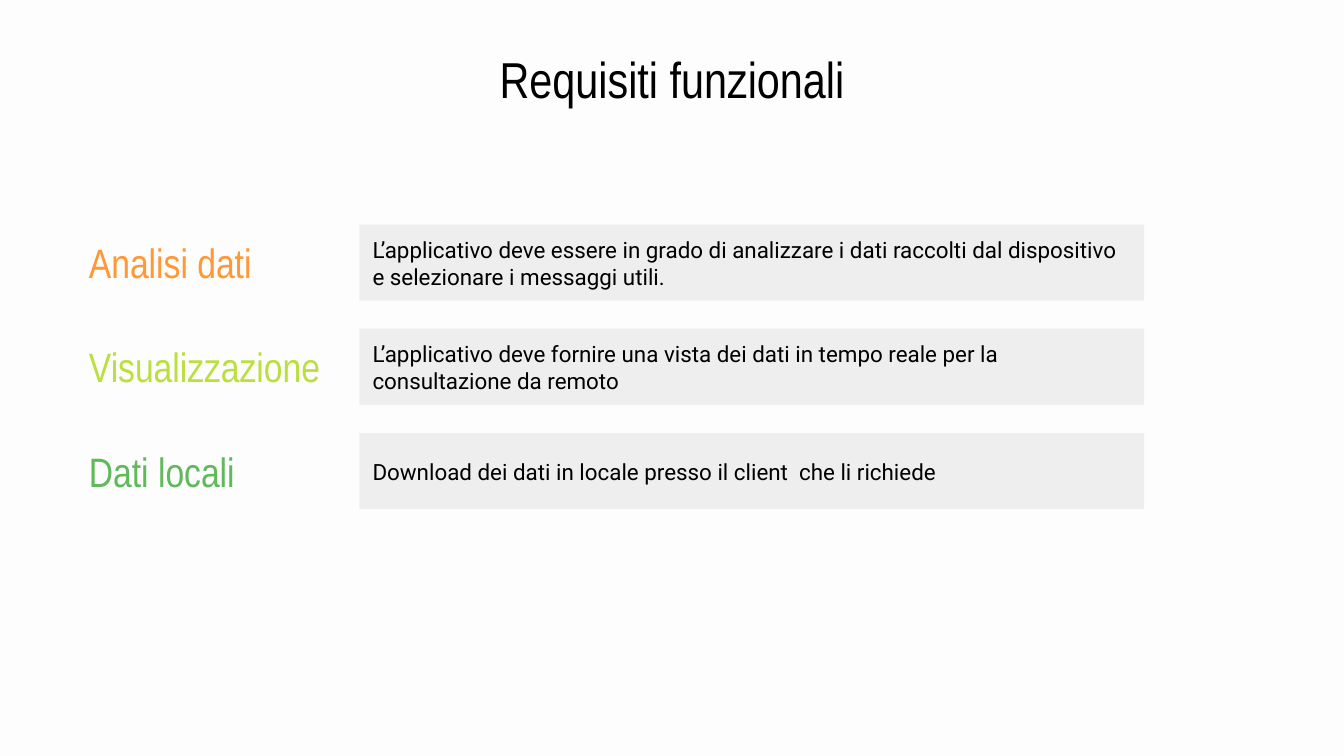
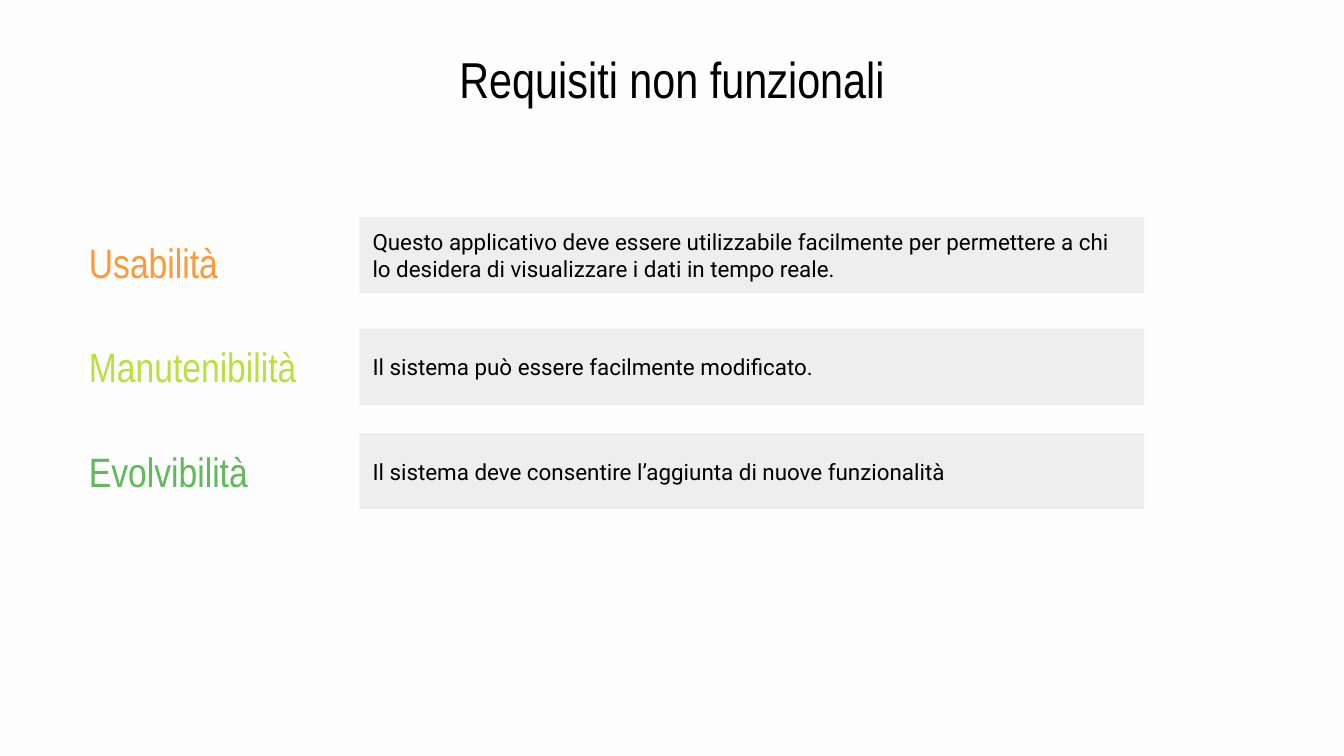
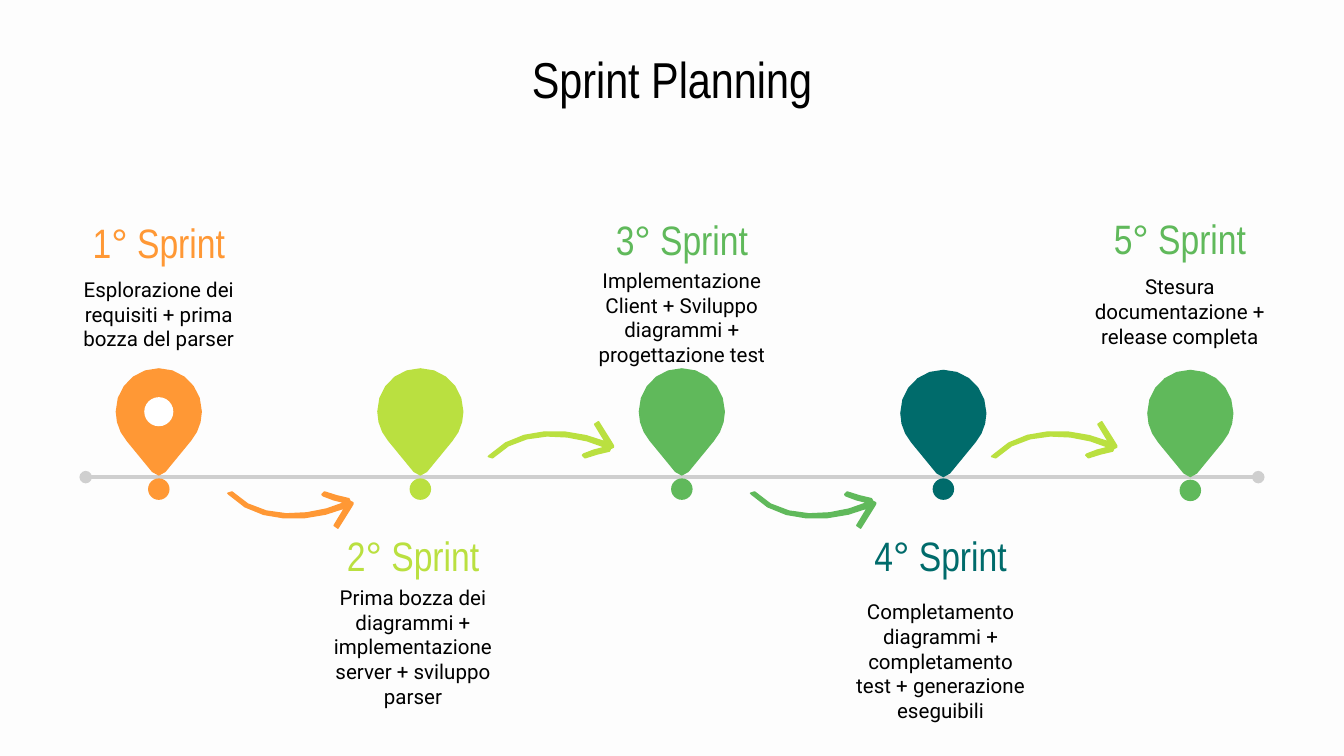
from math import cos, dist, radians, sin
from lxml.etree import SubElement
from pptx import Presentation
from pptx.dml.color import RGBColor
from pptx.enum.shapes import MSO_CONNECTOR, MSO_SHAPE
from pptx.enum.text import MSO_ANCHOR, MSO_AUTO_SIZE, PP_ALIGN
from pptx.oxml.ns import qn
from pptx.util import Pt

PAPER = RGBColor(0xFD, 0xFD, 0xFD)
WHITE = RGBColor(0xFF, 0xFF, 0xFF)
BLACK = RGBColor(0x00, 0x00, 0x00)
PANEL = RGBColor(0xEE, 0xEE, 0xEE)
RAIL = RGBColor(0xCF, 0xCF, 0xCF)
ORANGE = RGBColor(0xFF, 0x98, 0x35)
LIME = RGBColor(0xBA, 0xE0, 0x40)
GREEN = RGBColor(0x60, 0xB9, 0x5B)
TEAL = RGBColor(0x00, 0x6B, 0x6B)

HEADING_FONT = "Arial Narrow"
BODY_FONT = "Roboto"
INSET = 7.2


def write(box, text, font=BODY_FONT, size=12, color=BLACK, align=PP_ALIGN.LEFT, right=INSET):
    """Put one paragraph of formatted, vertically centred text in a shape."""
    frame = box.text_frame
    frame.word_wrap = True
    frame.auto_size = MSO_AUTO_SIZE.NONE
    frame.vertical_anchor = MSO_ANCHOR.MIDDLE
    frame.margin_left = frame.margin_top = frame.margin_bottom = Pt(INSET)
    frame.margin_right = Pt(right)
    para = frame.paragraphs[0]
    para.alignment = align
    span = para.add_run()
    span.text = text
    span.font.name = font
    span.font.size = Pt(size)
    span.font.color.rgb = color


def draw(page, outline, color, x, y, flip=1, turn=0, line=None):
    """Draw an outline of points and cubic triples around (x, y), in a frame turned by degrees."""
    points = [outline[0]]
    for step in outline[1:]:
        if len(step) == 2:
            points.append(step)
            continue
        curve = [points[-1], *step]
        count = max(1, min(6, round(dist(curve[0], curve[3]) / 6)))
        for n in range(1, count + 1):
            t = n / count
            weights = ((1 - t) ** 3, 3 * t * (1 - t) ** 2, 3 * t * t * (1 - t), t ** 3)
            points.append(tuple(sum(w * p[axis] for w, p in zip(weights, curve))
                                for axis in (0, 1)))
    c, s = cos(radians(turn)), sin(radians(turn))
    placed = [(Pt(x + px * c + flip * py * s), Pt(y - px * s + flip * py * c))
              for px, py in points]
    builder = page.shapes.build_freeform(*placed[0])
    builder.add_line_segments(placed[1:], close=True)
    shape = builder.convert_to_shape()
    shape.rotation = turn
    shape.shadow.inherit = False
    shape.fill.solid()
    shape.fill.fore_color.rgb = color
    if line:
        shape.line.color.rgb = color
        shape.line.width = Pt(line)
    else:
        shape.line.fill.background()


deck = Presentation()
deck.slide_width, deck.slide_height = Pt(720), Pt(405)
background = deck.slide_master.background.fill
background.solid()
background.fore_color.rgb = PAPER

# Every slide has the same centred title
pages = []
for heading in ("Requisiti funzionali", "Requisiti non funzionali", "Sprint Planning"):
    page = deck.slides.add_slide(deck.slide_layouts[5])
    title = page.shapes.title
    title.left, title.top, title.width, title.height = Pt(39.6), Pt(37.8), Pt(640.8), Pt(8.6)
    write(title, heading, font=HEADING_FONT, size=27, align=PP_ALIGN.CENTER)
    pages.append(page)

# Slides 1 and 2: rows of a coloured label and a grey panel
ROW_STEP = 55.9
requirements = [
    (120.3, [
        ("Analisi dati", "L’applicativo deve essere in grado di analizzare i dati raccolti "
                         "dal dispositivo e selezionare i messaggi utili."),
        ("Visualizzazione", "L’applicativo deve fornire una vista dei dati in tempo reale "
                            "per la consultazione da remoto"),
        ("Dati locali", "Download dei dati in locale presso il client  che li richiede"),
    ]),
    (116.2, [
        ("Usabilità", "Questo applicativo deve essere utilizzabile facilmente per permettere "
                      "a chi lo desidera di visualizzare i dati in tempo reale."),
        ("Manutenibilità", "Il sistema può essere facilmente modificato."),
        ("Evolvibilità", "Il sistema deve consentire l’aggiunta di nuove funzionalità"),
    ]),
]
for page, (first_top, rows) in zip(pages, requirements):
    for row, ((label, detail), color) in enumerate(zip(rows, (ORANGE, LIME, GREEN))):
        top = 120.2 + row * ROW_STEP if row else first_top
        panel = page.shapes.add_shape(MSO_SHAPE.RECTANGLE, Pt(192.5), Pt(top),
                                      Pt(420.5), Pt(40.8))
        panel.shadow.inherit = False
        panel.fill.solid()
        panel.fill.fore_color.rgb = PANEL
        panel.line.fill.background()
        write(panel, detail, right=14.4)
        box = page.shapes.add_textbox(Pt(40.6), Pt(124.2 + row * ROW_STEP), Pt(150), Pt(32.4))
        write(box, label, font=HEADING_FONT, size=22, color=color)

# Slide 3: timeline with pins, arrows and sprint texts
page = pages[2]
rail = page.shapes.add_connector(MSO_CONNECTOR.STRAIGHT, Pt(45.9), Pt(255.6), Pt(674.1), Pt(255.6))
rail.line.color.rgb = RAIL
rail.line.width = Pt(2.25)
for end in ("a:headEnd", "a:tailEnd"):
    SubElement(rail.line._get_or_add_ln(), qn(end), type="oval")
SubElement(rail._element.spPr, qn("a:effectLst"))

# Pin, measured from the middle of its top
PIN = [
    (0, 0),
    ((-13, 0), (-23.1, 10.4), (-23.1, 23.3)),
    ((-23.1, 29), (-21, 34.6), (-17.3, 38.9)),
    (-3.6, 55.6),
    ((-2.5, 57), (-1.2, 57.6), (0, 57.6)),
    ((1.2, 57.6), (2.5, 57), (3.6, 55.6)),
    (17.3, 38.9),
    ((21, 34.6), (23.1, 29), (23.1, 23.3)),
    ((23.1, 10.4), (13, 0), (0, 0)),
]
# Curved arrow, measured from the middle of its turned frame
ARROW = [
    (31.7, -2.2), (30.2, -2.9), (29.5, -4.3),
    ((25.2, -5), (20.9, -6.5), (16.5, -7.9)),
    ((15.8, -8.7), (15.1, -7.2), (15.1, -6.5)),
    (15.8, -5.8),
    ((19.4, -4.3), (23, -2.9), (27.3, -2.2)),
    ((9.3, 5.7), (-18, 7.9), (-33.1, -7.9)),
    ((-33.9, -9.4), (-35.3, -7.9), (-35.3, -7.2)),
    (-34.6, -6.5),
    ((-19.5, 9.3), (7.9, 8.6), (27.3, 0.7)),
    (21.6, 10.1),
    ((21.6, 12.2), (23, 12.2), (23.7, 11.5)),
    (30.9, 0), (31.7, -1.4),
]

# Pin centre, pin top, dot top, text centre, heading top, body top, body height, colour, text
sprints = [
    (85.1, 197.3, 256.3, 85.1, 113.3, 147.3, 41.8, ORANGE,
     "Esplorazione dei requisiti + prima bozza del parser"),
    (225.2, 197.3, 256.3, 221.3, 281.2, 315.9, 61.2, LIME,
     "Prima bozza dei diagrammi + implementazione server + sviluppo parser"),
    (365.3, 197.3, 256.3, 365.3, 111.9, 147.6, 44.6, GREEN,
     "Implementazione Client + Sviluppo diagrammi + progettazione test"),
    (505.4, 198.1, 256.3, 503.9, 281.2, 316, 76.3, TEAL,
     "Completamento diagrammi + completamento test + generazione eseguibili"),
    (637.7, 198.1, 257, 632.1, 111.3, 145.9, 41.8, GREEN,
     "Stesura documentazione + release completa"),
]
TEXT_WIDTH = 112.3
for number, (center, pin_top, dot_top, middle, heading_top, body_top, body_height, color,
             detail) in enumerate(sprints, 1):
    draw(page, PIN, color, center, pin_top)
    discs = [(dot_top, 11.5, color)]
    if number == 1:
        discs.append((pin_top + 15.5, 15.6, WHITE))
    for top, size, disc_color in discs:
        disc = page.shapes.add_shape(MSO_SHAPE.OVAL, Pt(center - size / 2), Pt(top),
                                     Pt(size), Pt(size))
        disc.shadow.inherit = False
        disc.fill.solid()
        disc.fill.fore_color.rgb = disc_color
        disc.line.fill.background()

    left = Pt(middle - TEXT_WIDTH / 2)
    box = page.shapes.add_textbox(left, Pt(heading_top), Pt(TEXT_WIDTH), Pt(32.4))
    write(box, f"{number}° Sprint", font=HEADING_FONT, size=22, color=color,
          align=PP_ALIGN.CENTER)
    box = page.shapes.add_textbox(left, Pt(body_top), Pt(TEXT_WIDTH), Pt(body_height))
    write(box, detail, size=11, align=PP_ALIGN.CENTER)

# Arrows below the rail point up to the right; those above it are mirrored
for x, y, flip, turn, color in ((157, 271.5, 1, 71.6, ORANGE), (297, 236.9, -1, 108.4, LIME),
                                (437, 271.5, 1, 71.6, GREEN), (566.6, 236.9, -1, 108.4, LIME)):
    draw(page, ARROW, color, x, y, flip=flip, turn=turn, line=0.75)

deck.save("out.pptx")
